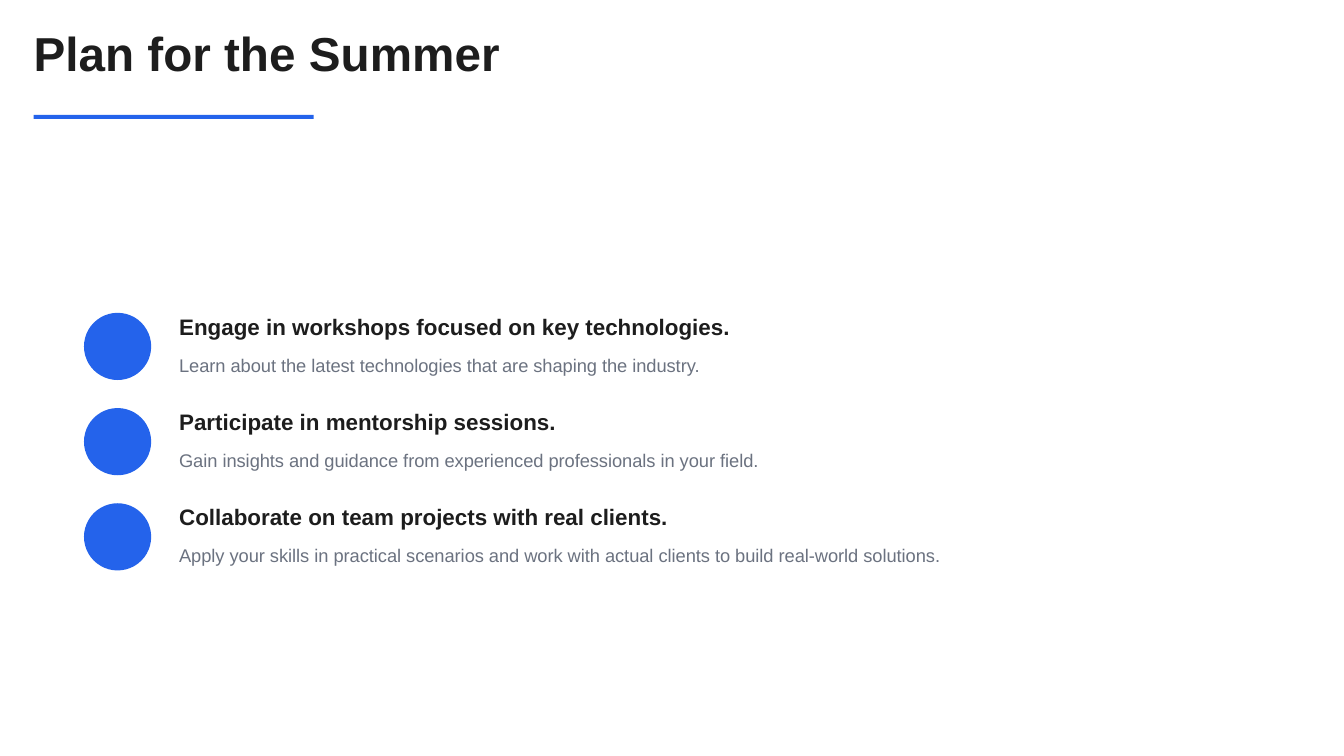
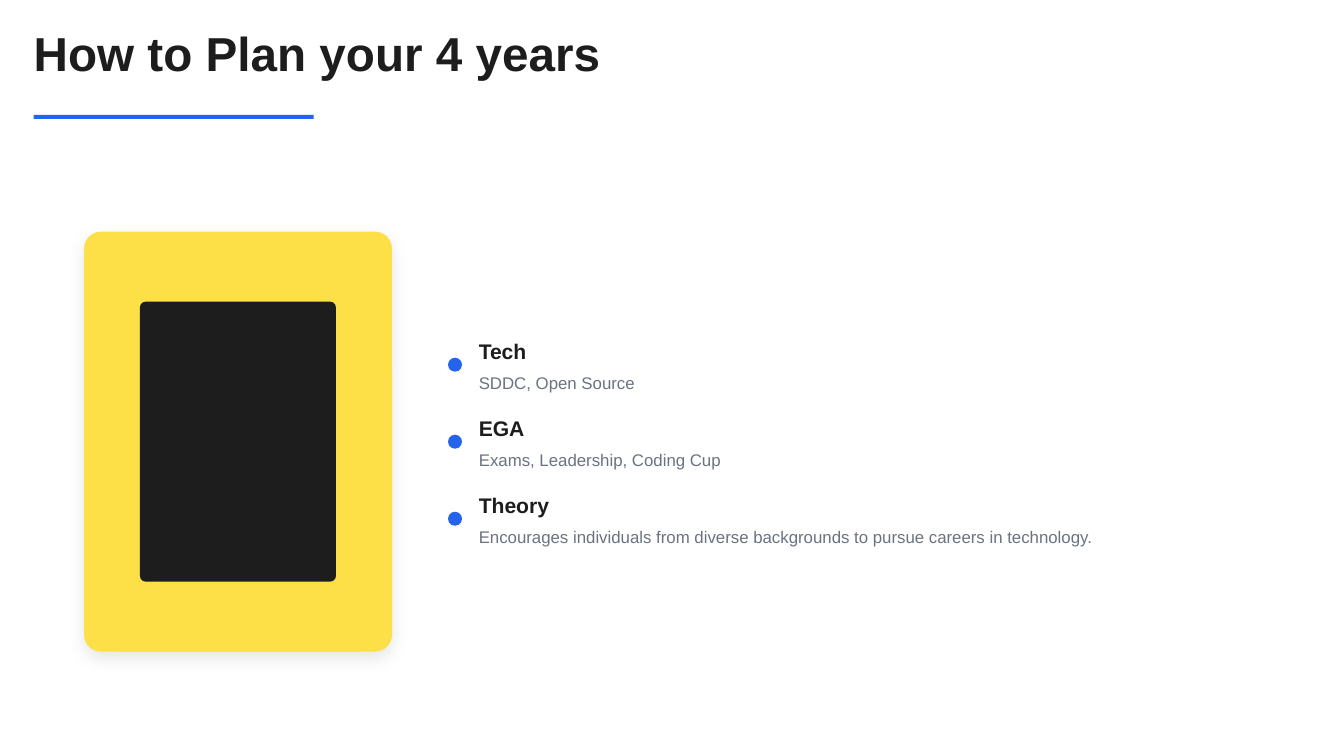
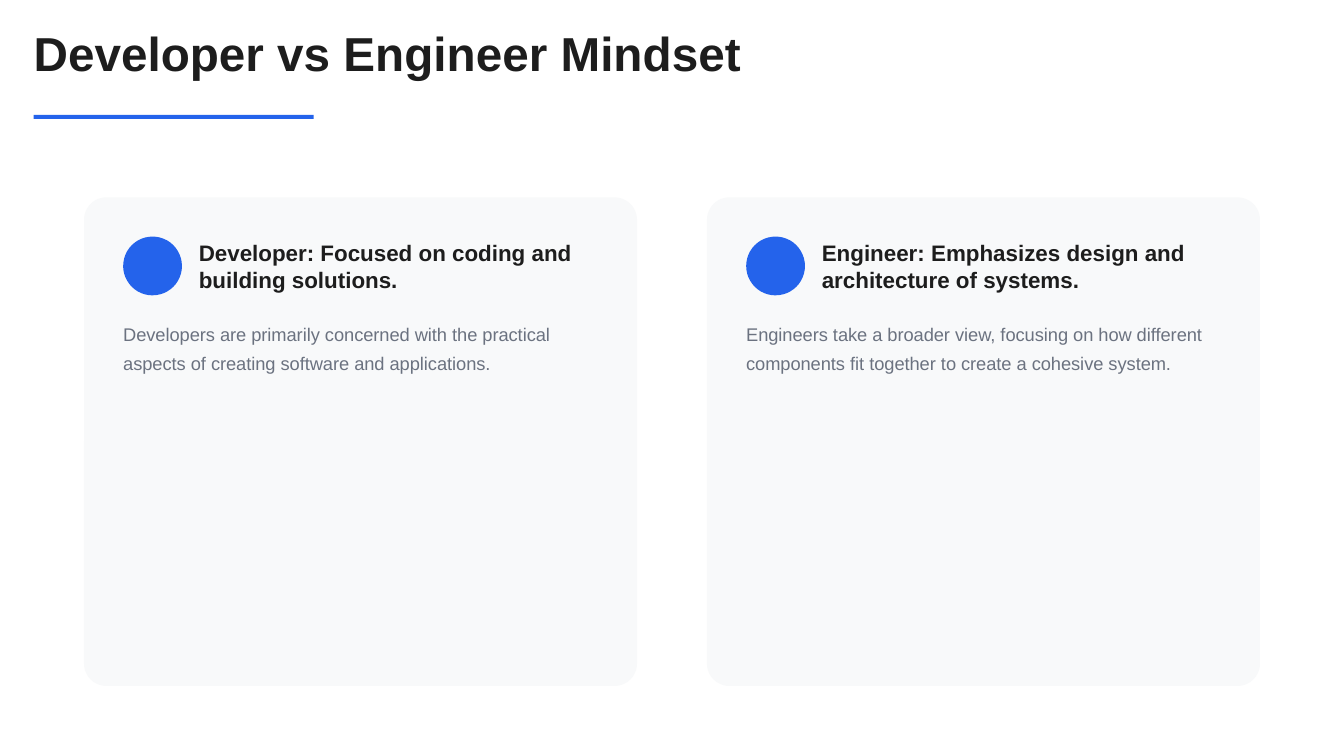
from lxml import etree
from pptx import Presentation
from pptx import util as u
from pptx.dml.color import RGBColor
from pptx.enum import shapes, text
from pptx.oxml import ns

FONT = "Arial"
INK = RGBColor(0x1D, 0x1D, 0x1D)
MUTED = RGBColor(0x6B, 0x72, 0x80)
BLUE = RGBColor(0x24, 0x63, 0xEB)
YELLOW = RGBColor(0xFD, 0xE0, 0x47)
PALE = RGBColor(0xF8, 0xF9, 0xFA)
WHITE = RGBColor(0xFF, 0xFF, 0xFF)

SLIDE_W, SLIDE_H = u.Inches(10), u.Inches(5.625)
COLUMNS = 48
CELL = SLIDE_W / COLUMNS
BODY = (3, 7.05, 42, 17.45)

PLAN = [
    ("Engage in workshops focused on key technologies.",
     "Learn about the latest technologies that are shaping the industry."),
    ("Participate in mentorship sessions.",
     "Gain insights and guidance from experienced professionals in your field."),
    ("Collaborate on team projects with real clients.",
     "Apply your skills in practical scenarios and work with actual clients "
     "to build real-world solutions."),
]
YEARS = [
    ("Tech", "SDDC, Open Source", 5.7),
    ("EGA", "Exams, Leadership, Coding Cup", 9),
    ("Theory", "Encourages individuals from diverse backgrounds to pursue "
     "careers in technology.", 22.3),
]
MINDSETS = [
    ("Developer: Focused on coding and building solutions.",
     "Developers are primarily concerned with the practical aspects of "
     "creating software and applications."),
    ("Engineer: Emphasizes design and architecture of systems.",
     "Engineers take a broader view, focusing on how different components "
     "fit together to create a cohesive system."),
]


def cells(*counts):
    return [u.Emu(round(count * CELL)) for count in counts]


def style_text(frame, words, size, leading, colour, bold=False, after=0):
    frame.text = words
    frame.word_wrap = True
    frame.auto_size = text.MSO_AUTO_SIZE.NONE
    frame.vertical_anchor = text.MSO_ANCHOR.TOP
    frame.margin_left = frame.margin_right = 0
    frame.margin_top = frame.margin_bottom = 0
    line = frame.paragraphs[0]
    line.alignment = text.PP_ALIGN.LEFT
    line.line_spacing = u.Pt(leading)
    line.space_before, line.space_after = u.Pt(0), u.Pt(after)
    font = line.runs[0].font
    font.name, font.size, font.bold = FONT, u.Pt(size), bold
    font.color.rgb = colour


def add_words(slide, box, *style, **options):
    label = slide.shapes.add_textbox(*cells(*box))
    style_text(label.text_frame, *style, **options)


def add_panel(slide, box, colour, corner=0):
    kind = shapes.MSO_SHAPE.ROUNDED_RECTANGLE if corner else shapes.MSO_SHAPE.RECTANGLE
    panel = slide.shapes.add_shape(kind, *cells(*box))
    if corner:
        panel.adjustments[0] = corner
    panel.shadow.inherit = False
    panel.fill.solid()
    panel.fill.fore_color.rgb = colour
    panel.line.fill.background()
    return panel


def add_dot(slide, x, y, size):
    add_panel(slide, (x, y, size, size), BLUE, 0.5)


def add_soft_shadow(panel):
    effects = panel._element.spPr.find(ns.qn("a:effectLst"))
    shadow = etree.SubElement(effects, ns.qn("a:outerShdw"), blurRad=str(u.Pt(9)),
                              dist=str(u.Pt(3)), dir="5400000", rotWithShape="0")
    tint = etree.SubElement(shadow, ns.qn("a:srgbClr"), val="000000")
    etree.SubElement(tint, ns.qn("a:alpha"), val="10000")


def add_titled_slide(deck, heading, width):
    slide = deck.slides.add_slide(deck.slide_layouts.get_by_name("Title Only"))
    slide.background.fill.solid()
    slide.background.fill.fore_color.rgb = WHITE
    title = slide.shapes.title
    title.left, title.top, title.width, title.height = cells(1.2, 1.2, width, 1.7)
    style_text(title.text_frame, heading, 25.5, 25.5, INK, bold=True, after=6)
    add_panel(slide, (1.2, 4.1, 10, 0.15), BLUE)
    return slide


def centred_rows(box, count, pitch, row_height):
    _, top, _, height = box
    first = top + (height - (count - 1) * pitch - row_height) / 2
    return [first + i * pitch for i in range(count)]


def draw_plan(slide, box):
    left, _, width, _ = box
    icon, indent = 2.4, 3.4
    for y, (heading, detail) in zip(centred_rows(box, len(PLAN), 3.4, icon), PLAN):
        add_dot(slide, left, y, icon)
        add_words(slide, (left + indent, y, width - indent, 0.95),
                  heading, 12, 14.4, INK, bold=True, after=6)
        add_words(slide, (left + indent, y + 1.35, width - indent, 0.9),
                  detail, 9.75, 13.65, MUTED)


def draw_poster(slide, box):
    left, top, _, height = box
    width, tall, inner_w, inner_h = 11, 15, 7, 10
    y = top + (height - tall) / 2
    add_soft_shadow(add_panel(slide, (left, y, width, tall), YELLOW, 0.055))
    add_panel(slide, (left + (width - inner_w) / 2, y + (tall - inner_h) / 2,
                      inner_w, inner_h), INK, 0.029)


def draw_years(slide, box):
    left = box[0] + 13
    indent = 1.1
    for y, (heading, detail, width) in zip(centred_rows(box, len(YEARS), 2.75, 1.9), YEARS):
        add_dot(slide, left, y + 0.7, 0.5)
        add_words(slide, (left + indent, y, width, 0.9),
                  heading, 11.25, 13.5, INK, bold=True, after=3)
        add_words(slide, (left + indent, y + 1.1, width, 0.8),
                  detail, 9, 12.6, MUTED)


def draw_mindsets(slide, box):
    left, top, width, height = box
    gap, pad = 2.5, 1.4
    card = (width - gap) / len(MINDSETS)
    for i, (heading, detail) in enumerate(MINDSETS):
        x = left + i * (card + gap)
        add_panel(slide, (x, top, card, height), PALE, 0.046)
        add_dot(slide, x + pad, top + pad, 2.1)
        add_words(slide, (x + 4.1, top + 1.5, 14.55, 1.9),
                  heading, 12, 14.4, INK, bold=True)
        add_words(slide, (x + pad, top + 4.25, 17.3, 2.05),
                  detail, 9.75, 15.6, MUTED)


def main():
    deck = Presentation()
    deck.slide_width, deck.slide_height = SLIDE_W, SLIDE_H
    draw_plan(add_titled_slide(deck, "Plan for the Summer", 23.3), BODY)
    years = add_titled_slide(deck, "How to Plan your 4 years", 23.3)
    draw_poster(years, BODY)
    draw_years(years, BODY)
    draw_mindsets(add_titled_slide(deck, "Developer vs Engineer Mindset", 25.8), BODY)
    deck.save("out.pptx")


if __name__ == "__main__":
    main()
